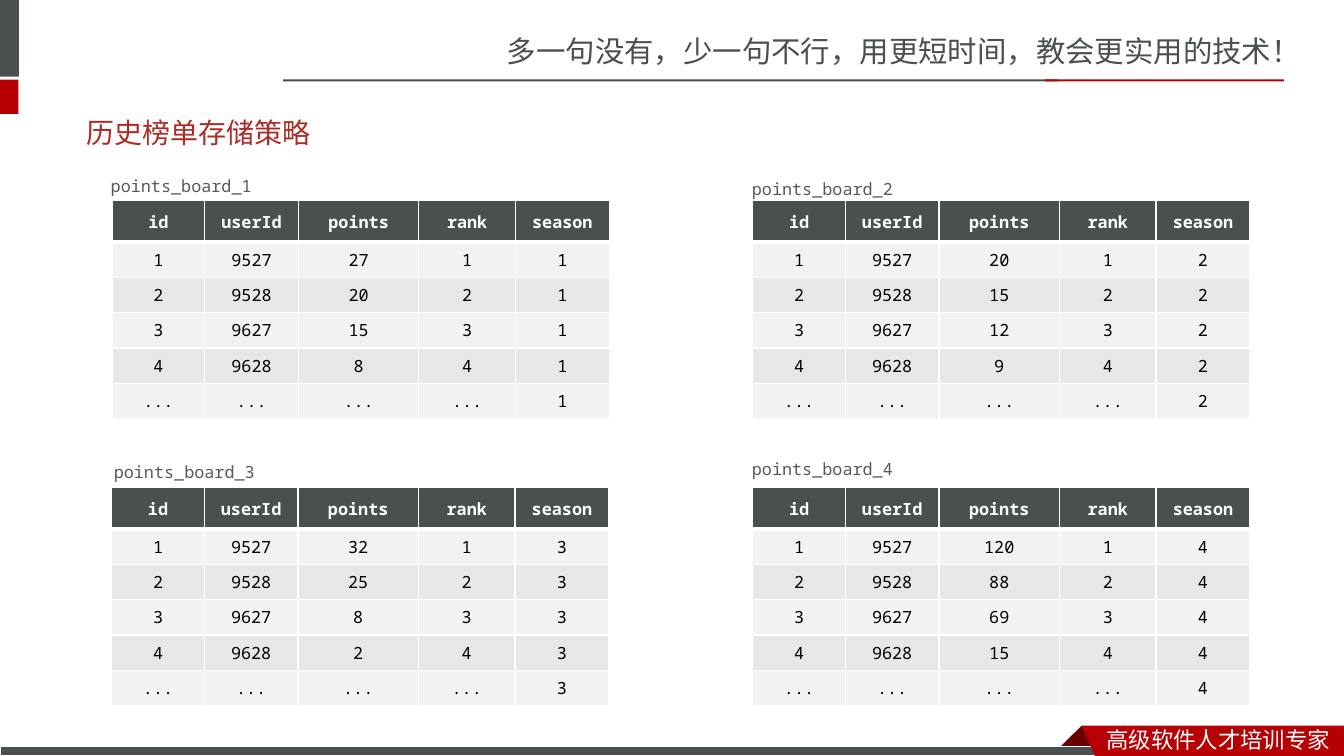
import pptx
import pptx.dml.color
import pptx.enum.shapes
import pptx.enum.text
import pptx.oxml
import pptx.oxml.ns
import pptx.util

Pt = pptx.util.Pt
RGBColor = pptx.dml.color.RGBColor
ALIGN = pptx.enum.text.PP_ALIGN
ANCHOR = pptx.enum.text.MSO_ANCHOR

SLATE = RGBColor(0x49, 0x50, 0x4F)
RED = RGBColor(0xB6, 0x00, 0x04)
DARK_RED = RGBColor(0x68, 0x00, 0x00)
TITLE_RED = RGBColor(0xAD, 0x2B, 0x26)
LABEL_GREY = RGBColor(0x59, 0x59, 0x59)
LIGHT = RGBColor(0xF2, 0xF2, 0xF2)
MEDIUM = RGBColor(0xE7, 0xE7, 0xE7)
WHITE = RGBColor(0xFF, 0xFF, 0xFF)
BLACK = RGBColor(0x00, 0x00, 0x00)
SANS, MONO = "Noto Sans CJK SC", "Noto Sans Mono"

TITLE = "历史榜单存储策略"
SLOGAN = "多一句没有，少一句不行，用更短时间，教会更实用的技术！"
FOOTER = "高级软件人才培训专家"

USER_IDS = ["9527", "9528", "9627", "9628"]
# season: points by rank, left and top of the table, left and top of the label
BOARDS = {
    1: ([27, 20, 15, 8], (80.2, 143.5), (72, 121.7)),
    2: ([20, 15, 12, 9], (537.8, 143.5), (530, 123.8)),
    3: ([32, 25, 8, 2], (79.9, 348.5), (74.2, 326.2)),
    4: ([120, 88, 69, 15], (537.8, 348.5), (530, 324)),
}
PLAYER_WIDTHS = [66, 67, 86]
RANK_WIDTHS = [69, 67]
HEADER_HEIGHT, ROW_HEIGHT = 29.5, 25.2

# left, top, width, height, colour
BARS = [
    (0, 0, 13.5, 54.7, SLATE),
    (0, 56.9, 13.2, 24.5, RED),
    (202.3, 56.7, 553, 1.5, SLATE),
    (746.6, 56.7, 170.6, 1.5, RED),
]
FOOTER_BAR = (0, 533.5, 791, 6.5, SLATE)
RIBBON_FOLD = [(772.6, 518.4), (788.4, 534.2), (787.7, 535), (757.4, 535), (756.7, 534.2)]
RIBBON = [(772.6, 518.4), (960, 518.4), (960, 540), (782, 540)]

deck = pptx.Presentation()
deck.slide_width, deck.slide_height = Pt(960), Pt(540)
slide = deck.slides.add_slide(deck.slide_layouts[5])
shapes = slide.shapes


def style(frame, size, font, colour, bold=False, align=ALIGN.LEFT):
    for paragraph in frame.paragraphs:
        paragraph.alignment = align
        for run in paragraph.runs:
            run.font.size, run.font.name, run.font.bold = Pt(size), font, bold
            run.font.color.rgb = colour
            east_asian = pptx.oxml.parse_xml(
                f'<a:ea {pptx.oxml.ns.nsdecls("a")} typeface="{SANS}"/>')
            run.font._element.find(pptx.oxml.ns.qn("a:latin")).addnext(east_asian)


def add_text(text, left, top, width, height, size, font, colour, wrap=True):
    frame = shapes.add_textbox(Pt(left), Pt(top), Pt(width), Pt(height)).text_frame
    frame.word_wrap = wrap
    frame.text = text
    style(frame, size, font, colour)


def paint(shape, colour):
    shape.shadow.inherit = False
    shape.fill.solid()
    shape.fill.fore_color.rgb = colour
    shape.line.fill.background()


def add_bar(left, top, width, height, colour):
    bar = shapes.add_shape(pptx.enum.shapes.MSO_SHAPE.RECTANGLE,
                           Pt(left), Pt(top), Pt(width), Pt(height))
    paint(bar, colour)
    return bar


def add_outline(points, colour):
    first, *rest = [(Pt(x), Pt(y)) for x, y in points]
    builder = shapes.build_freeform(*first)
    builder.add_line_segments(rest, close=True)
    paint(builder.convert_to_shape(), colour)


def set_borders(cell, row):
    """White rules, with a thicker one under the header row."""
    widths = {"L": 1, "R": 1, "T": 3 if row == 1 else 1, "B": 3 if row == 0 else 1}
    for index, (side, width) in enumerate(widths.items()):
        cell._tc.get_or_add_tcPr().insert(index, pptx.oxml.parse_xml(
            f'<a:ln{side} {pptx.oxml.ns.nsdecls("a")} w="{Pt(width)}"><a:solidFill>'
            f'<a:srgbClr val="{WHITE}"/></a:solidFill></a:ln{side}>'))


def add_table(rows, left, top, widths):
    height = HEADER_HEIGHT + ROW_HEIGHT * (len(rows) - 1)
    table = shapes.add_table(len(rows), len(widths), Pt(left), Pt(top),
                             Pt(sum(widths)), Pt(height)).table
    for column, width in zip(table.columns, widths):
        column.width = Pt(width)
    for r, values in enumerate(rows):
        table.rows[r].height = Pt(ROW_HEIGHT if r else HEADER_HEIGHT)
        for c, value in enumerate(values):
            cell = table.cell(r, c)
            cell.text = str(value)
            cell.vertical_anchor = ANCHOR.MIDDLE
            cell.fill.solid()
            cell.fill.fore_color.rgb = SLATE if r == 0 else LIGHT if r % 2 else MEDIUM
            style(cell.text_frame, 12, MONO, BLACK if r else WHITE, r == 0, ALIGN.CENTER)
            set_borders(cell, r)


add_text(SLOGAN, 355, 20.2, 605, 33.8, 21, SANS, SLATE)
for bar in BARS:
    add_bar(*bar)
add_outline(RIBBON_FOLD, DARK_RED)
footer_bar = add_bar(*FOOTER_BAR)
footer_bar.line.color.rgb = WHITE
footer_bar.line.width = Pt(0.75)
add_outline(RIBBON, RED)
add_text(FOOTER, 783.4, 514.8, 176.6, 26.6, 16, SANS, WHITE)

title = shapes.title
title.left, title.top, title.width, title.height = Pt(54.7), Pt(79.2), Pt(482.4), Pt(31.7)
title.text_frame.text = TITLE
title.text_frame.auto_size = pptx.enum.text.MSO_AUTO_SIZE.NONE
title.text_frame.vertical_anchor = ANCHOR.TOP
style(title.text_frame, 20, MONO, TITLE_RED)

for season, (scores, (left, top), label_at) in BOARDS.items():
    players = [("id", "userId", "points")]
    players += [(rank, *entry) for rank, entry in enumerate(zip(USER_IDS, scores), 1)]
    players.append(("...",) * 3)
    ranks = [("rank", "season")]
    ranks += [(rank, season) for rank in [*range(1, len(scores) + 1), "..."]]
    add_table(players, left, top, PLAYER_WIDTHS)
    add_table(ranks, left + sum(PLAYER_WIDTHS), top, RANK_WIDTHS)
    add_text(f"points_board_{season}", *label_at, 117.4, 21.6, 12, MONO, LABEL_GREY, wrap=False)

deck.save("out.pptx")
